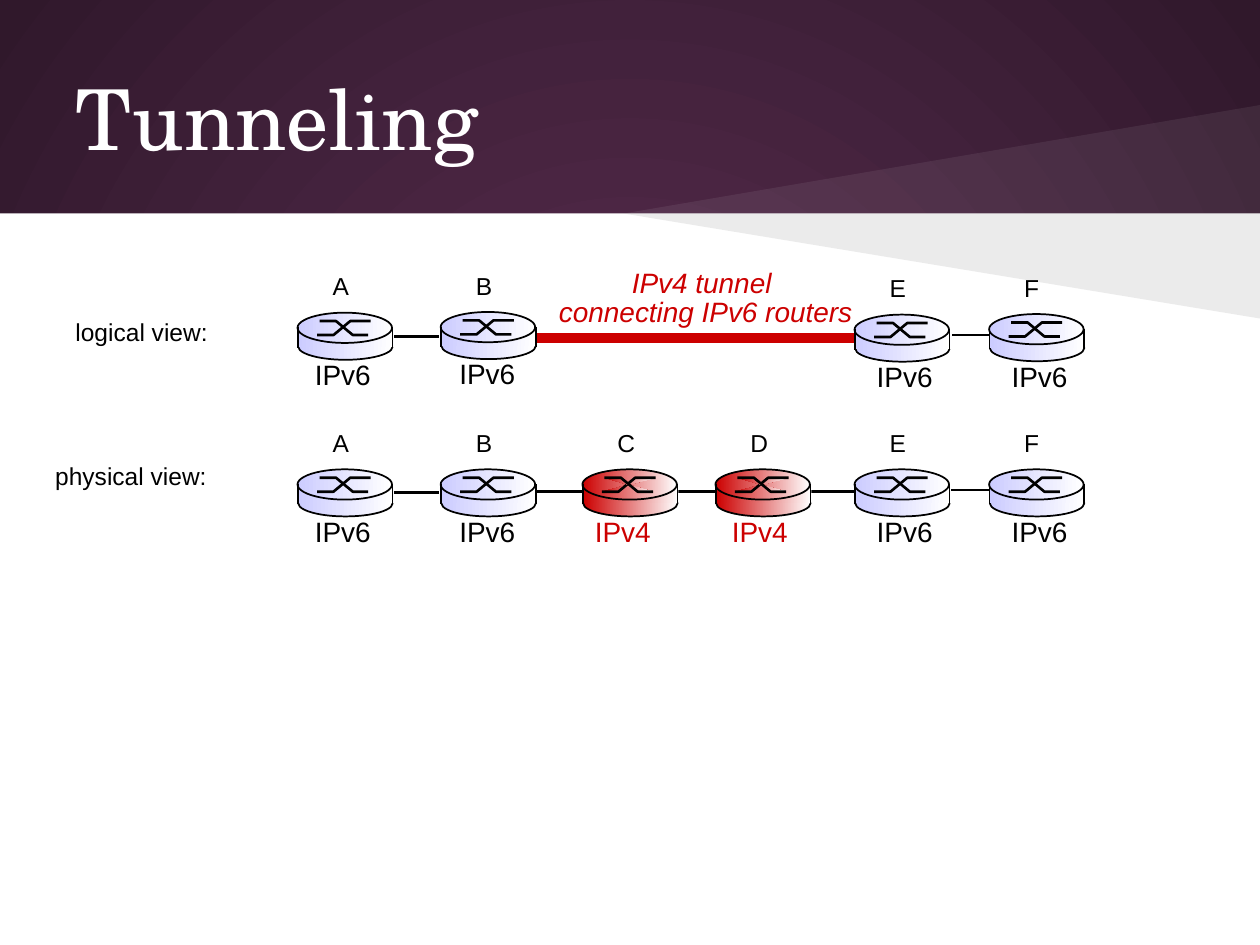
"""Build the Tunneling slide: logical and physical views of an IPv6 path."""
from lxml import etree
from pptx import Presentation
from pptx import util as u
from pptx.dml.color import RGBColor
from pptx.enum import shapes, text
from pptx.oxml.ns import qn

Pt = u.Pt
BLACK = RGBColor(0x00, 0x00, 0x00)
WHITE = RGBColor(0xFF, 0xFF, 0xFF)
RED = RGBColor(0xCC, 0x00, 0x00)
LILAC = RGBColor(0xCC, 0xCC, 0xFF)
PLUM = RGBColor(0x59, 0x2D, 0x50)
DARK_PLUM = RGBColor(0x30, 0x18, 0x2B)

ROUTER_LEFT = {"A": 170, "B": 251.8, "C": 332.8, "D": 408.8, "E": 488.3, "F": 565.2}
PROTOCOL_INDENT = {"A": 2.8, "B": 3.6, "C": 0, "D": 2.3, "E": 5.6, "F": 5.8}
IPV4_ROUTERS = "CD"
LOGICAL_TOPS = {"A": 178.7, "B": 178.3, "E": 179.8, "F": 179.5}
PHYSICAL_TOPS = dict.fromkeys(ROUTER_LEFT, 268.2)


class SlideBuilder:
    def __init__(self, deck):
        self.font = "Arial"
        self.title_font = "TeX Gyre Schola"
        self.slide = deck.slides.add_slide(deck.slide_layouts[6])

    def blend(self, fill, start, end):
        fill.gradient()
        for stop, color in zip(fill.gradient_stops, (start, end)):
            stop.color.rgb = color

    def background(self, center, edge):
        fill = self.slide.background.fill
        self.blend(fill, center, edge)
        gradient = self.slide.background._cSld.find(".//" + qn("a:gradFill"))
        gradient.remove(gradient.find(qn("a:lin")))
        circle = etree.SubElement(gradient, qn("a:path"), path="circle")
        etree.SubElement(circle, qn("a:fillToRect"), l="50000", t="50000", r="50000", b="50000")

    def outline(self, shape, color, width):
        if width:
            shape.line.color.rgb = color
            shape.line.width = Pt(width)
        else:
            shape.line.fill.background()

    def shape(self, kind, left, top, width, height, color, fade=None,
              line=BLACK, line_width=0, parent=None):
        parent = parent or self.slide
        shape = parent.shapes.add_shape(kind, Pt(left), Pt(top), Pt(width), Pt(height))
        shape.shadow.inherit = False
        if fade is None:
            shape.fill.solid()
            shape.fill.fore_color.rgb = color
        else:
            self.blend(shape.fill, color, fade)
            shape.fill.gradient_angle = 0
        self.outline(shape, line, line_width)

    def freeform(self, points, closed=False, line_width=0, parent=None):
        parent = parent or self.slide
        corners = [(Pt(x), Pt(y)) for x, y in points]
        builder = parent.shapes.build_freeform(*corners[0])
        builder.add_line_segments(corners[1:], close=closed)
        shape = builder.convert_to_shape()
        shape.shadow.inherit = False
        shape.fill.background()
        self.outline(shape, BLACK, line_width)
        return shape

    def wedge(self, points, color, opacity):
        shape = self.freeform(points, closed=True)
        shape.fill.solid()
        shape.fill.fore_color.rgb = color
        tint = shape.element.spPr.find(".//" + qn("a:srgbClr"))
        etree.SubElement(tint, qn("a:alpha"), val=str(opacity * 1000))

    def line(self, x1, y1, x2, y2, width=1.5, parent=None):
        parent = parent or self.slide
        line = parent.shapes.add_connector(
            shapes.MSO_CONNECTOR.STRAIGHT, Pt(x1), Pt(y1), Pt(x2), Pt(y2))
        self.outline(line, BLACK, width)
        etree.SubElement(line.element.spPr, qn("a:effectLst"))

    def text(self, words, left, top, width, height, size=14, color=BLACK, font=None,
             italic=False, align=text.PP_ALIGN.LEFT, spacing=None):
        box = self.slide.shapes.add_textbox(Pt(left), Pt(top), Pt(width), Pt(height))
        frame = box.text_frame
        frame.word_wrap = False
        frame.auto_size = text.MSO_AUTO_SIZE.SHAPE_TO_FIT_TEXT
        frame.text = words
        for para in frame.paragraphs:
            para.alignment = align
            para.line_spacing = spacing
            for span in para.runs:
                span.font.name = font or self.font
                span.font.size = Pt(size)
                span.font.color.rgb = color
                span.font.italic = italic
        return frame

    def title(self, words):
        frame = self.text(words, 36, 21.6, 648, 90, 48, WHITE, self.title_font)
        frame.auto_size = text.MSO_AUTO_SIZE.NONE
        frame.word_wrap = True
        frame.vertical_anchor = text.MSO_ANCHOR.MIDDLE
        frame.margin_top = frame.margin_bottom = Pt(7.2)

    def router(self, name, top):
        left = ROUTER_LEFT[name]
        is_ipv4 = name in IPV4_ROUTERS
        color = RED if is_ipv4 else LILAC
        group = self.slide.shapes.add_group_shape()
        oval, wall = shapes.MSO_SHAPE.OVAL, shapes.MSO_SHAPE.RECTANGLE
        for kind, x, y, width, height, line_width in (
                (oval, 0.4, 11.8, 54, 15.1, 1),
                (wall, 0.4, 10, 54.5, 9.4, 0),
                (oval, 0, 0, 54, 17.3, 1)):
            self.shape(kind, left + x, top + y, width, height, color, WHITE,
                       line_width=line_width, parent=group)
        for xs, start, end in (((11.2, 20.6, 30.2, 41.8), 12.8, 4.8),
                               ((12.6, 22, 31.6, 40.4), 4.8, 12.8)):
            ys = (start, start, end, end)
            arrow = self.freeform([(left + x, top + y) for x, y in zip(xs, ys)],
                                  line_width=1.5, parent=group)
            if is_ipv4:
                self.blend(arrow.fill, color, WHITE)
                arrow.fill.gradient_angle = 0
        for x in (0.3, 54.3):
            self.line(left + x, top + 8.3, left + x, top + 20, 1, group)
        self.text(name, left + 13, top - 27.2, 26.6, 28.8)
        self.text("IPv4" if is_ipv4 else "IPv6", left + PROTOCOL_INDENT[name],
                  top + 22.2, 46.8, 26.6, 16, RED if is_ipv4 else BLACK)

    def view(self, label, left, top, width, router_tops, links):
        self.text(label, left, top, width, 28.8)
        for start, end, y in links:
            self.line(start, y, end, y)
        for name, router_top in router_tops.items():
            self.router(name, router_top)


def main():
    deck = Presentation()
    deck.slide_width, deck.slide_height = Pt(720), Pt(540)
    page = SlideBuilder(deck)
    page.background(PLUM, DARK_PLUM)
    page.shape(shapes.MSO_SHAPE.RECTANGLE, 0, 122, 720, 418, WHITE)
    for edge, color, opacity in ((60, WHITE, 7), (182, BLACK, 8)):
        page.wedge([(720, 122), (356.4, 122), (720, edge)], color, opacity)
    page.title("Tunneling")
    page.view("physical view:", 24.5, 260, 125.3, PHYSICAL_TOPS,
              [(225.4, 250.6, 281.5), (306.7, 489.6, 280.8), (543.6, 569.5, 280.1)])
    page.shape(shapes.MSO_SHAPE.RECTANGLE, 303.1, 190.8, 189.4, 5, RED,
               line=RED, line_width=0.75)
    page.view("logical view:", 36, 177.8, 111.6, LOGICAL_TOPS,
              [(224.6, 250.6, 192.2), (544.3, 569.5, 191.5)])
    page.text("IPv4 tunnel \nconnecting IPv6 routers", 311.8, 151.2, 182.9, 40.3, 16, RED,
              italic=True, align=text.PP_ALIGN.CENTER, spacing=0.85)
    deck.save("out.pptx")


if __name__ == "__main__":
    main()
